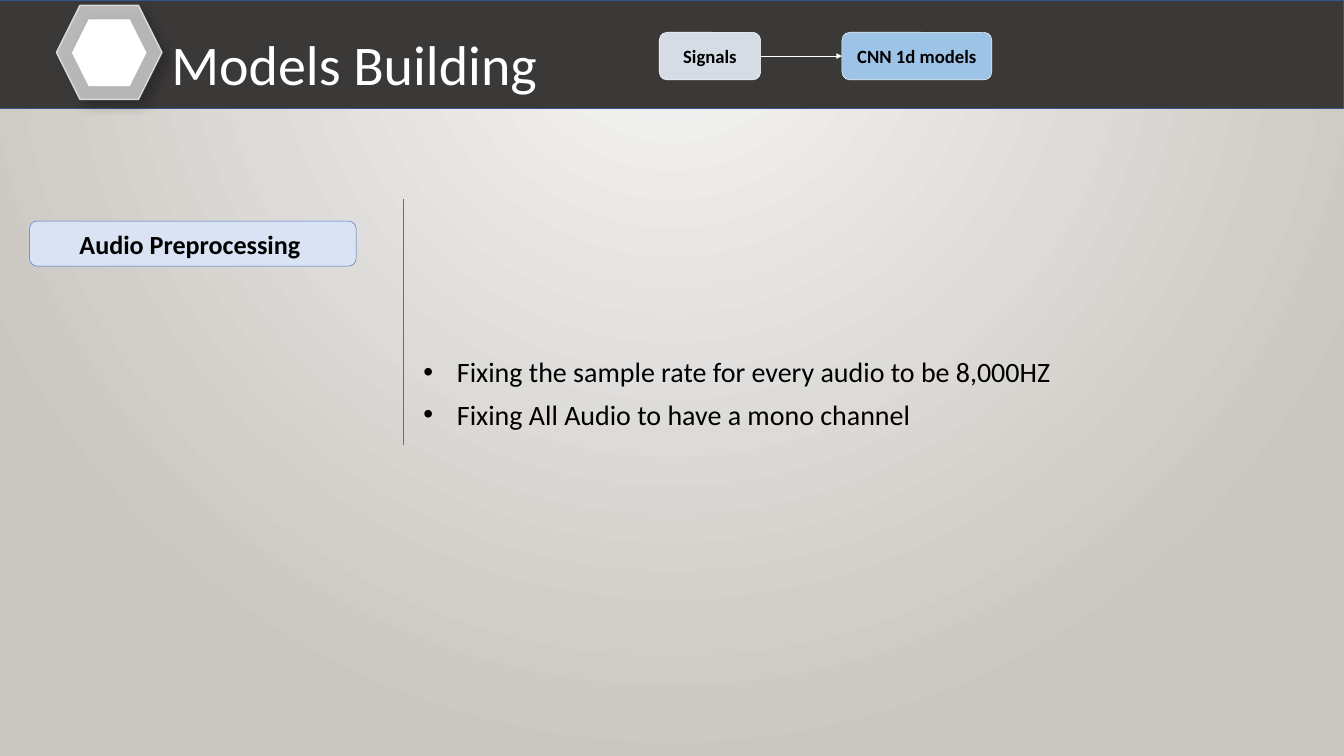
from dataclasses import dataclass
from typing import Any, NamedTuple

from lxml import etree
from pptx import Presentation
from pptx.dml.color import RGBColor
from pptx.enum import shapes, text
from pptx.oxml import parse_xml
from pptx.oxml.ns import nsdecls, qn
from pptx.util import Inches, Pt


@dataclass(frozen=True)
class Theme:
    font: str = "Calibri"
    ink: str = "000000"
    white: str = "FFFFFF"
    bar: str = "3B3838"
    bar_line: str = "325491"
    hexagon: str = "F2F2F2"
    hexagon_line: str = "D9D9D9"
    accent: str = "4472C4"
    signals: str = "D6DCE5"
    models: str = "9DC3E6"
    topic: str = "DAE3F3"
    glow: str = "F6F6F6"
    backdrop: str = "CAC6C1"
    title_size: int = 60
    body_size: int = 30
    topic_size: int = 28
    step_size: int = 20


class Box(NamedTuple):
    x: float
    y: float
    w: float
    h: float
    fill: str
    line: str | None = None
    weight: float = 0.5
    label: str = ""
    size: int = 20


THEME = Theme()
KIND = shapes.MSO_SHAPE
BAR = Box(-0.03, 0, 20.03, 1.62, THEME.bar, THEME.bar_line, 1)
HEXAGONS = [
    Box(0.84, 0.08, 1.57, 1.4, THEME.hexagon, THEME.hexagon_line, 1.5),
    Box(1.07, 0.29, 1.11, 0.99, THEME.white),
]
STEPS = [
    Box(9.81, 0.48, 1.51, 0.71, THEME.signals, THEME.white, 0.5, "Signals", THEME.step_size),
    Box(12.53, 0.48, 2.23, 0.71, THEME.models, THEME.white, 0.5, "CNN 1d models", THEME.step_size),
]
TOPIC = Box(0.44, 3.29, 4.86, 0.67, THEME.topic, THEME.accent, 0.5,
            "Audio Preprocessing ", THEME.topic_size)
POINTS = [
    "Fixing the sample rate for every audio to be 8,000HZ",
    "Fixing All Audio to have a mono channel",
]


def set_all(target: Any, values: dict[str, Any]) -> None:
    for name, value in values.items():
        setattr(target, name, value)


def set_font(font: Any, size: int, color: str, bold: bool = False) -> None:
    set_all(font, {"name": THEME.font, "size": Pt(size), "bold": bold})
    font.color.rgb = RGBColor.from_string(color)


def place(sp: Any, x: float, y: float, w: float, h: float) -> None:
    set_all(sp, {"left": Inches(x), "top": Inches(y), "width": Inches(w), "height": Inches(h)})


def set_frame(tf: Any, side: float, top: float) -> None:
    set_all(tf, {
        "word_wrap": True,
        "auto_size": text.MSO_AUTO_SIZE.NONE,
        "vertical_anchor": text.MSO_ANCHOR.TOP,
        "margin_left": Inches(side),
        "margin_right": Inches(side),
        "margin_top": Inches(top),
        "margin_bottom": Inches(0.05),
    })


def draw_box(parent: Any, kind: Any, box: Box) -> Any:
    sp = parent.add_shape(kind, Inches(box.x), Inches(box.y), Inches(box.w), Inches(box.h))
    sp.shadow.inherit = False
    sp.fill.solid()
    sp.fill.fore_color.rgb = RGBColor.from_string(box.fill)
    if box.line:
        sp.line.color.rgb = RGBColor.from_string(box.line)
        sp.line.width = Pt(box.weight)
    else:
        sp.line.fill.background()
    if box.label:
        sp.text_frame.vertical_anchor = text.MSO_ANCHOR.MIDDLE
        p = sp.text_frame.paragraphs[0]
        p.alignment = text.PP_ALIGN.CENTER
        r = p.add_run()
        r.text = box.label
        set_font(r.font, box.size, THEME.ink, True)
    return sp


def draw_line(parent: Any, start: tuple[float, float], end: tuple[float, float], color: str) -> Any:
    line = parent.add_connector(shapes.MSO_CONNECTOR.STRAIGHT, *map(Inches, start + end))
    line.line.color.rgb = RGBColor.from_string(color)
    line.line.width = Pt(0.5)
    etree.SubElement(line._element.spPr, qn("a:effectLst"))
    return line


def draw_background(s: Any) -> None:
    s.background.fill.solid()
    bg = s.background._cSld.bg.bgPr
    bg.replace(bg.find(qn("a:solidFill")), parse_xml(
        f'<a:gradFill {nsdecls("a")} rotWithShape="1"><a:gsLst>'
        f'<a:gs pos="0"><a:srgbClr val="{THEME.glow}"/></a:gs>'
        f'<a:gs pos="100000"><a:srgbClr val="{THEME.backdrop}"/></a:gs></a:gsLst>'
        '<a:path path="circle"><a:fillToRect l="43000" t="0" r="43000" b="100000"/>'
        '</a:path></a:gradFill>'))


def draw_emblem(s: Any) -> None:
    group = s.shapes.add_group_shape()
    outer, _ = [draw_box(group.shapes, KIND.HEXAGON, box) for box in HEXAGONS]
    spPr = outer._element.spPr
    color = spPr.find(qn("a:solidFill")).find(qn("a:srgbClr"))
    etree.SubElement(color, qn("a:alpha"), val="70000")
    spPr.replace(spPr.find(qn("a:effectLst")), parse_xml(
        f'<a:effectLst {nsdecls("a")}><a:outerShdw blurRad="{Pt(12)}" dist="{Pt(10)}" '
        f'dir="2700000" rotWithShape="0"><a:srgbClr val="{THEME.ink}">'
        '<a:alpha val="31000"/></a:srgbClr></a:outerShdw></a:effectLst>'))


def draw_title(s: Any) -> None:
    title = s.shapes.title
    place(title, 2.5, 0.12, 6.37, 1.34)
    set_frame(title.text_frame, 0.05, 0.1)
    p = title.text_frame.paragraphs[0]
    set_all(p, {"alignment": text.PP_ALIGN.LEFT, "line_spacing": Pt(88), "space_before": Pt(0)})
    r = p.add_run()
    r.text = "Models Building"
    set_font(r.font, THEME.title_size, THEME.white)
    s.shapes._spTree.append(title._element)


def draw_steps(s: Any) -> None:
    signals, models = [draw_box(s.shapes, KIND.ROUNDED_RECTANGLE, box) for box in STEPS]
    arrow = draw_line(s.shapes, (11.32, 0.83), (12.53, 0.83), THEME.white)
    arrow.begin_connect(signals, 3)
    arrow.end_connect(models, 1)
    etree.SubElement(arrow.line._get_or_add_ln(), qn("a:tailEnd"), type="triangle")


def draw_points(s: Any) -> None:
    sp = s.shapes.add_textbox(Inches(6.25), Inches(5.23), Inches(10.55), Inches(1.97))
    tf = sp.text_frame
    set_frame(tf, 0.05, 0.05)
    for i, point in enumerate(POINTS):
        p = tf.add_paragraph() if i else tf.paragraphs[0]
        pPr = p._p.get_or_add_pPr()
        set_all(p, {"space_after": Pt(9.5)})
        pPr.set("marL", str(Inches(0.5)))
        pPr.set("indent", str(-Inches(0.5)))
        etree.SubElement(pPr, qn("a:buFont"), typeface="Arial")
        etree.SubElement(pPr, qn("a:buChar"), char="•")
        r = p.add_run()
        r.text = point
        set_font(r.font, THEME.body_size, THEME.ink)


def main() -> None:
    prs = Presentation()
    set_all(prs, {"slide_width": Inches(20), "slide_height": Inches(11.25)})
    s = prs.slides.add_slide(prs.slide_layouts[5])
    draw_background(s)
    draw_box(s.shapes, KIND.RECTANGLE, BAR)
    draw_emblem(s)
    draw_title(s)
    draw_steps(s)
    draw_line(s.shapes, (6, 2.96), (6, 6.62), THEME.accent)
    draw_box(s.shapes, KIND.ROUNDED_RECTANGLE, TOPIC)
    draw_points(s)
    prs.save("out.pptx")


if __name__ == "__main__":
    main()
